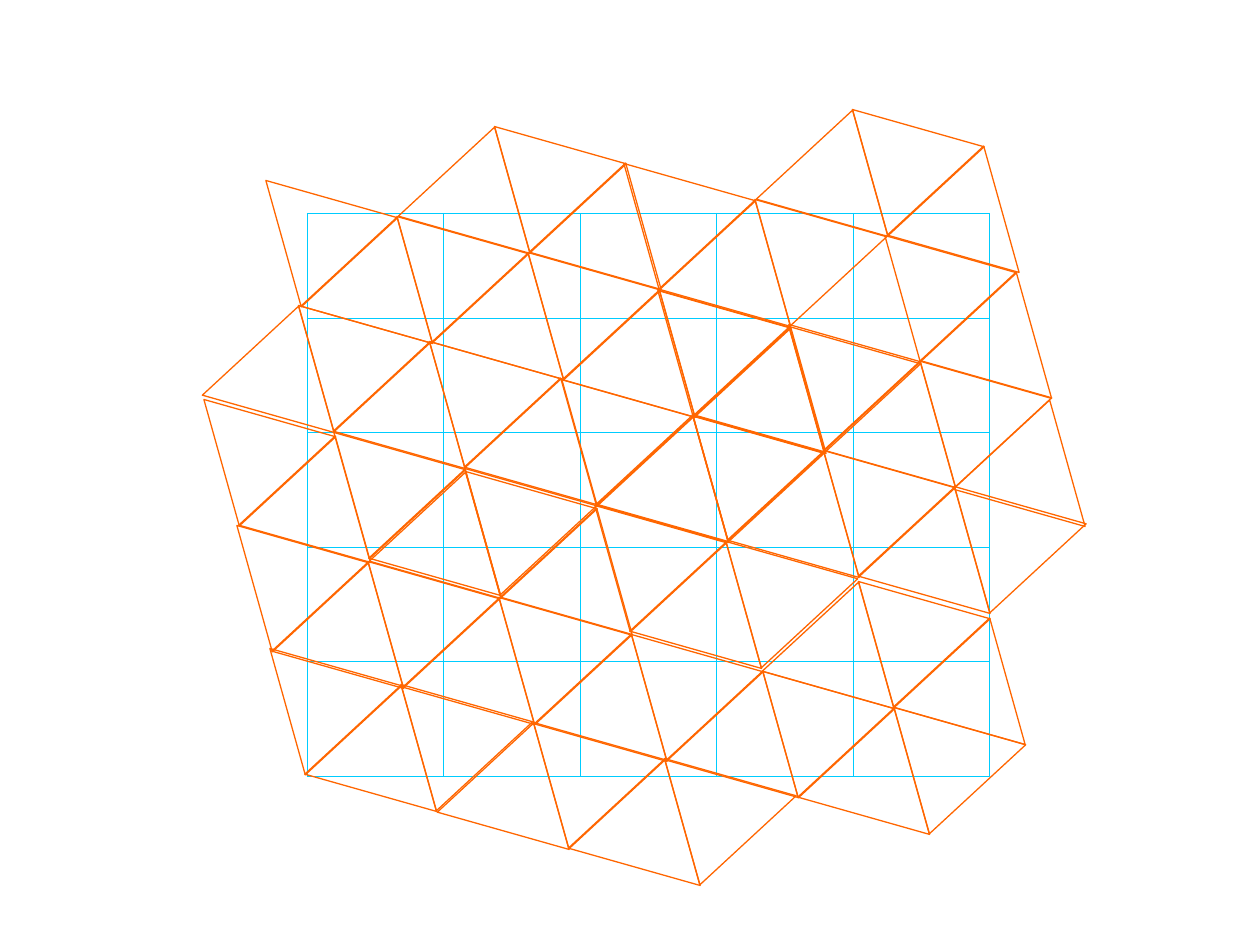
from lxml.etree import SubElement
from pptx import Presentation
from pptx.dml.color import RGBColor
from pptx.enum.shapes import MSO_CONNECTOR, MSO_SHAPE
from pptx.oxml.ns import qn
from pptx.util import Emu, Pt

PX = 914400 // 126
GRID_COLOR, TRIANGLE_COLOR = "00CCFF", "FF6600"

# Edges of the upright grid
COLUMN_EDGES = [307, 443, 580, 716, 853, 989]
ROW_EDGES = [213, 318, 432, 547, 661, 776]

# Tilted strips of alternating triangles
TRIANGLE_WIDTH, TRIANGLE_HEIGHT = 137, 112
STEP_X, STEP_Y = 65.5, 18
ANGLES = {"up": 15.8, "down": 195.8}
STRIPS = [  # left, top, direction of the first triangle, count
    (411, 125, "up", 3),
    (769, 108, "up", 3),
    (606, 180, "down", 3),
    (867, 252, "down", 2),
    (248, 197, "down", 5),
    (576, 289, "up", 3),
    (640, 307, "down", 3),
    (771, 341, "down", 3),
    (966, 398, "up", 1),
    (215, 304, "up", 5),
    (544, 396, "down", 3),
    (609, 413, "up", 6),
    (186, 416, "down", 2),
    (316, 449, "down", 3),
    (382, 470, "up", 3),
    (577, 522, "down", 3),
    (775, 580, "up", 3),
    (219, 542, "down", 5),
    (548, 633, "up", 3),
    (745, 688, "down", 3),
    (252, 665, "down", 3),
    (450, 721, "up", 4),
]


def px(*lengths):
    return [Emu(round(length * PX)) for length in lengths]


def color(value):
    return RGBColor.from_string(value)


def set_line(shape, value, points):
    shape.line.color.rgb = color(value)
    shape.line.width = Pt(points)


def add_outline(shapes, kind, box, value, points):
    shape = shapes.add_shape(kind, *px(*box))
    shape.shadow.inherit = False
    shape.fill.background()
    set_line(shape, value, points)
    return shape


def add_grid_line(shapes, *ends):
    line = shapes.add_connector(MSO_CONNECTOR.STRAIGHT, *px(*ends))
    set_line(line, GRID_COLOR, 0.25)
    SubElement(line._element.spPr, qn("a:effectLst"))


presentation = Presentation()
presentation.slide_width, presentation.slide_height = px(1260, 945)
slide = presentation.slides.add_slide(presentation.slide_layouts[6])

# Grid cells, from the bottom right
grid = slide.shapes.add_group_shape().shapes
columns = list(zip(COLUMN_EDGES, COLUMN_EDGES[1:]))
rows = list(zip(ROW_EDGES, ROW_EDGES[1:]))
for top, bottom in reversed(rows):
    for left, right in reversed(columns):
        box = (left, top, right - left, bottom - top)
        add_outline(grid, MSO_SHAPE.RECTANGLE, box, GRID_COLOR, 0.25)

# Grid lines
for y in ROW_EDGES:
    add_grid_line(grid, COLUMN_EDGES[0], y, COLUMN_EDGES[-1], y)
for x in COLUMN_EDGES:
    add_grid_line(grid, x, ROW_EDGES[0], x, ROW_EDGES[-1])

# Triangles
for left, top, first, count in STRIPS:
    for index in range(count):
        box = (left + index * STEP_X, top + index * STEP_Y,
               TRIANGLE_WIDTH, TRIANGLE_HEIGHT)
        triangle = add_outline(slide.shapes, MSO_SHAPE.ISOSCELES_TRIANGLE,
                               box, TRIANGLE_COLOR, 0.75)
        triangle.rotation = (ANGLES[first] + 180 * index) % 360

presentation.save("out.pptx")
